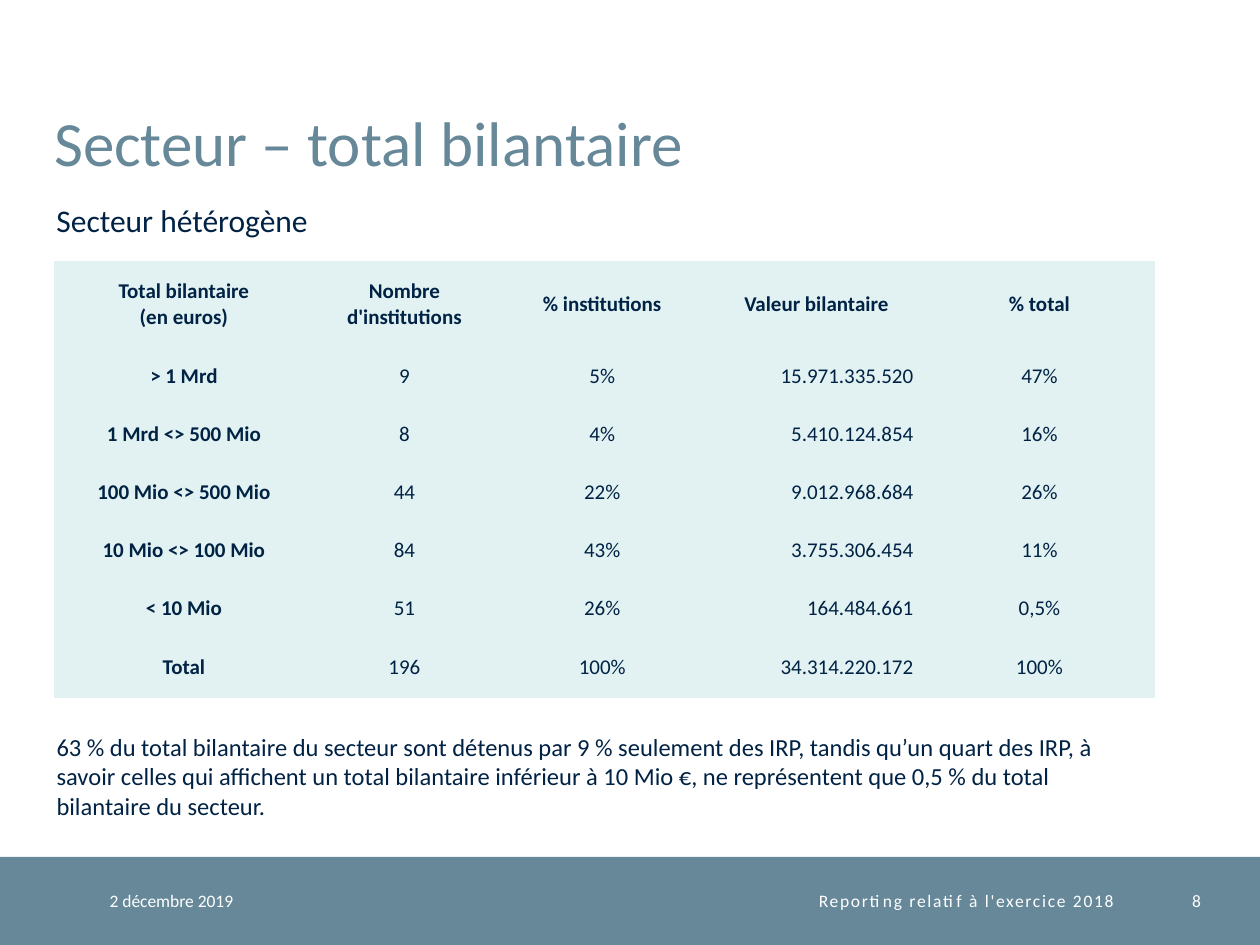
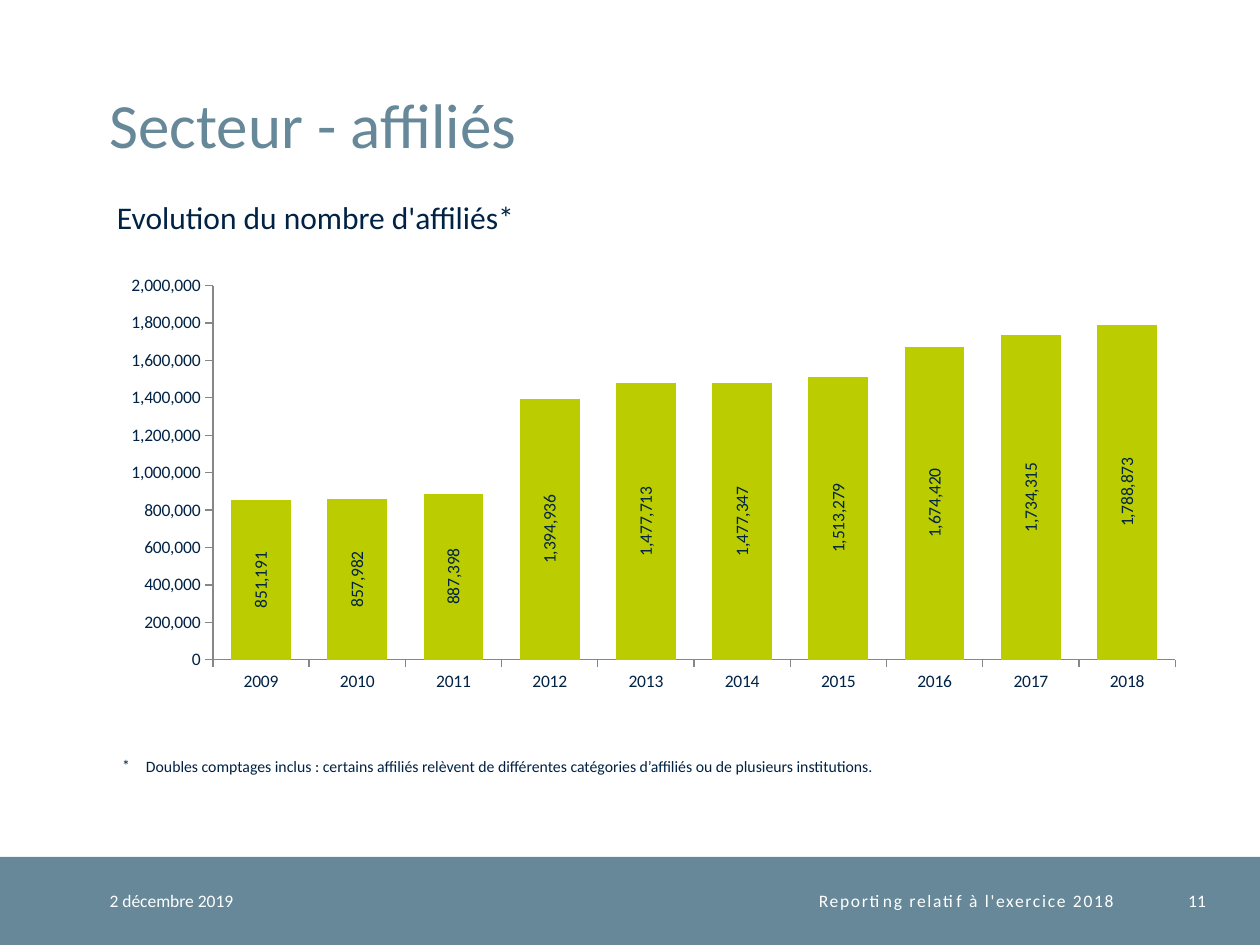
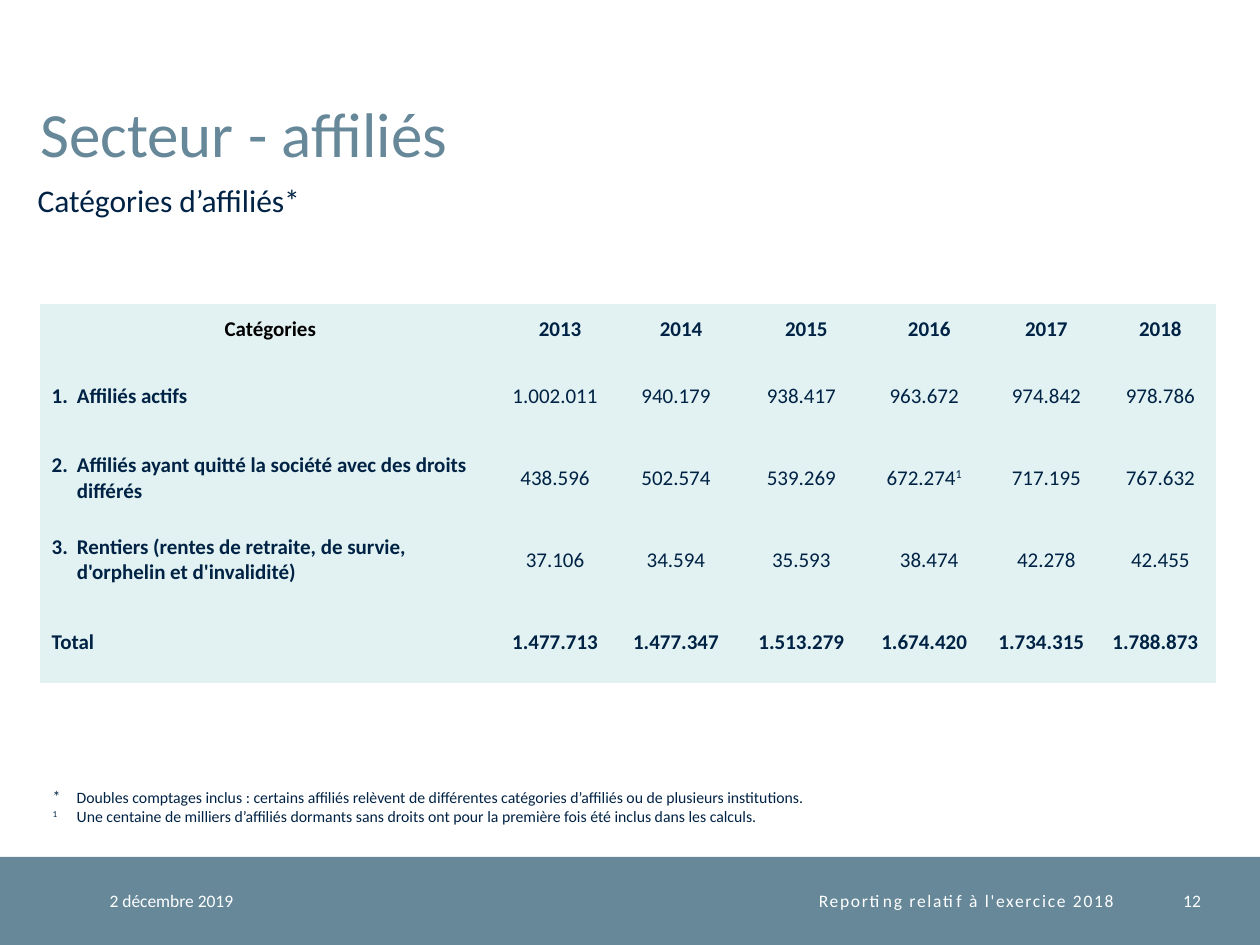
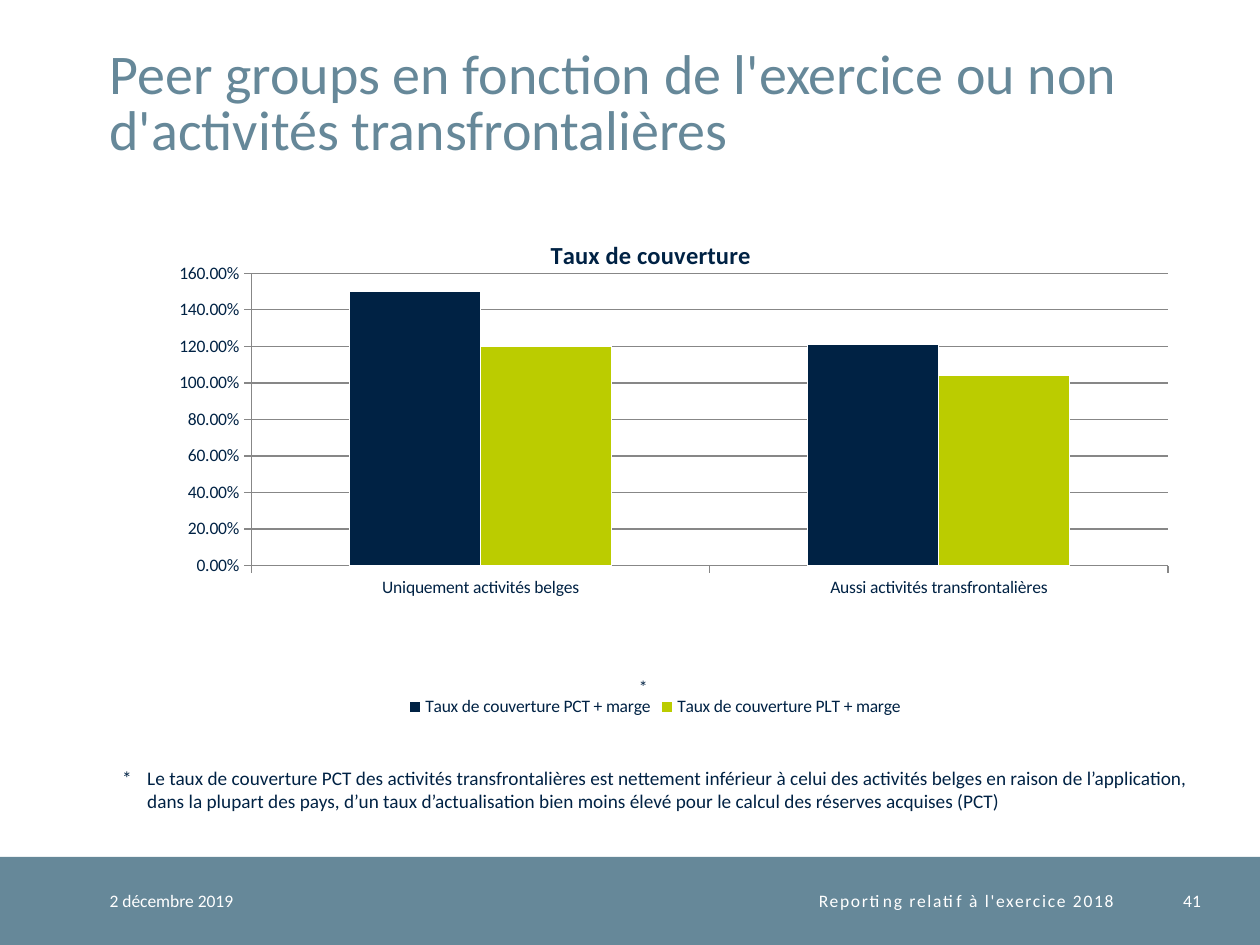
from lxml import etree
from pptx import Presentation, util as u
from pptx.chart import data
from pptx.dml import color
from pptx.enum import chart as charts, shapes, text
from pptx.oxml import ns

FONT = "Calibri"
SLATE, NAVY, LIME = "668899", "002244", "BBCC00"
PALE, WHITE, BLACK, GREY = "E2F2F2", "FFFFFF", "000000", "878787"
LEFT, CENTER, RIGHT = text.PP_ALIGN.LEFT, text.PP_ALIGN.CENTER, text.PP_ALIGN.RIGHT
MIDDLE, BOTTOM, TOP = text.MSO_ANCHOR.MIDDLE, text.MSO_ANCHOR.BOTTOM, text.MSO_ANCHOR.TOP
NO_STYLE = "{2D5ABB26-0587-4C30-8999-92F81FD0307C}"
DATE = "2 décembre 2019"
FOOTER = "Reporting relatif à l'exercice 2018"
DOUBLES = ("Doubles comptages inclus : certains affiliés relèvent de différentes "
           "catégories d’affiliés ou de plusieurs institutions.")


def rgb(value):
    return color.RGBColor.from_string(value)


def inches(values):
    return [u.Inches(value) for value in values]


def set_font(font, size, tint=NAVY, bold=False):
    font.name, font.size, font.bold = FONT, u.Pt(size), bold
    font.color.rgb = rgb(tint)


# Text: parts between bars are superscript
def write(para, content, size, tint=NAVY, bold=False, align=LEFT):
    para.alignment = align
    for index, part in enumerate(content.split("|")):
        if part:
            span = para.add_run()
            span.text = part
            set_font(span.font, size, tint, bold)
            if index % 2:
                span.font._element.set("baseline", "30000")


def hang(para, left, indent, bullet=None):
    props = para._p.get_or_add_pPr()
    props.set("marL", str(u.Inches(left)))
    props.set("indent", str(u.Inches(-indent)))
    if bullet:
        etree.SubElement(props, ns.qn("a:buFont")).set("typeface", FONT)
        etree.SubElement(props, ns.qn("a:buChar")).set("char", bullet)


def add_text(page, box, lines, size, tint=NAVY, align=LEFT, anchor=TOP, inset=True):
    shape = page.shapes.add_textbox(*inches(box))
    frame = shape.text_frame
    frame.word_wrap, frame.vertical_anchor = True, anchor
    if inset:
        frame.auto_size = text.MSO_AUTO_SIZE.SHAPE_TO_FIT_TEXT
    else:
        clear_margins(frame)
    for index, line in enumerate(lines):
        para = frame.add_paragraph() if index else frame.paragraphs[0]
        write(para, line, size, tint, align=align)
    return frame


def clear_margins(holder):
    holder.margin_left = holder.margin_top = holder.margin_right = holder.margin_bottom = 0


# Band, date, footer and page number
def add_footer(page, number, date_width=1.77, number_box=(9.04, 0.49)):
    top, height, footer_right = 6.8, 0.7, 8.84
    band = page.shapes.add_shape(shapes.MSO_SHAPE.RECTANGLE, *inches((0, top, 10, height)))
    band.shadow.inherit = False
    band.fill.solid()
    band.fill.fore_color.rgb = rgb(SLATE)
    band.line.fill.background()

    date_left = 0.87
    footer_left = 2.64 if date_width == 1.77 else 3.43
    number_left, number_width = number_box
    parts = [(date_left, date_width, DATE, LEFT),
             (footer_left, footer_right - footer_left, FOOTER, RIGHT),
             (number_left, number_width, str(number), RIGHT)]
    for left, width, content, align in parts:
        frame = add_text(page, (left, top, width, height), [content], 10, WHITE,
                         align, MIDDLE, inset=False)
        if content == FOOTER:
            frame.paragraphs[0].runs[0].font._element.set("spc", "100")


def add_title(page, left, top, content, size=36):
    frame = add_text(page, (left, top, 8.63, 1.08), [content], size, SLATE,
                     anchor=BOTTOM, inset=False)
    frame.paragraphs[0].line_spacing = u.Pt(32)


def add_page(deck, number, title, left, top, size=36, **footer):
    page = deck.slides.add_slide(deck.slide_layouts[6])
    add_footer(page, number, **footer)
    add_title(page, left, top, title, size)
    return page


# Tables: style_cell(row, column) gives bold, alignment, right margin
def add_table(page, left, top, widths, heights, rows, style_cell):
    box = inches((left, top, sum(widths), sum(heights)))
    table = page.shapes.add_table(len(rows), len(widths), *box).table
    table.first_row = table.horz_banding = False
    table._tbl.tblPr.find(ns.qn("a:tableStyleId")).text = NO_STYLE
    for column, width in zip(table.columns, widths):
        column.width = u.Inches(width)
    for row, height in zip(table.rows, heights):
        row.height = u.Inches(height)
    for r, values in enumerate(rows):
        for c, value in enumerate(values):
            cell = table.cell(r, c)
            bold, align, margin = style_cell(r, c)
            clear_margins(cell)
            cell.margin_right = u.Inches(margin)
            cell.vertical_anchor = MIDDLE
            cell.fill.solid()
            cell.fill.fore_color.rgb = rgb(PALE)
            for index, line in enumerate(value.split("\n")):
                frame = cell.text_frame
                para = frame.add_paragraph() if index else frame.paragraphs[0]
                write(para, line, 12, bold=bold, align=align)
    return table


# Charts
def add_chart(page, box, kind, categories, series, tints, gap, value_format):
    chart_data = data.CategoryChartData()
    chart_data.categories = categories
    for name, values in series:
        chart_data.add_series(name, values)
    chart = page.shapes.add_chart(kind, *inches(box), chart_data).chart
    set_font(chart.font, 10)
    chart.has_title = chart.has_legend = False
    plot = chart.plots[0]
    plot.gap_width, plot.vary_by_categories = gap, False
    for item, tint in zip(plot.series, tints):
        item.format.fill.solid()
        item.format.fill.fore_color.rgb = rgb(tint)
    for axis in (chart.category_axis, chart.value_axis):
        axis.major_tick_mark = charts.XL_TICK_MARK.OUTSIDE
        axis.has_major_gridlines = False
        axis.format.line.color.rgb = rgb(GREY)
    chart.value_axis.minimum_scale = 0
    chart.value_axis.tick_labels.number_format = value_format
    chart.value_axis.tick_labels.number_format_is_linked = False
    return chart


def set_layout(part, **settings):
    layout = part.find(ns.qn("c:layout"))
    if layout is None:
        layout = etree.Element(ns.qn("c:layout"))
        part.insert(0, layout)
    manual = etree.SubElement(layout, ns.qn("c:manualLayout"))
    for name, value in settings.items():
        etree.SubElement(manual, ns.qn("c:" + name)).set("val", str(value))


# Slide: balance sheet totals
def build_balance(deck):
    page = add_page(deck, 8, "Secteur – total bilantaire", 0.43, 0.34)
    add_text(page, (0.35, 1.55, 3.23, 0.4), ["Secteur hétérogène"], 18)
    rows = [
        ("Total bilantaire\n(en euros)", "Nombre d'institutions", "% institutions",
         "Valeur bilantaire", "% total"),
        ("> 1 Mrd", "9", "5%", "15.971.335.520", "47%"),
        ("1 Mrd <> 500 Mio", "8", "4%", "5.410.124.854", "16%"),
        ("100 Mio <> 500 Mio", "44", "22%", "9.012.968.684", "26%"),
        ("10 Mio <> 100 Mio", "84", "43%", "3.755.306.454", "11%"),
        ("< 10 Mio", "51", "26%", "164.484.661", "0,5%"),
        ("Total", "196", "100%", "34.314.220.172", "100%"),
    ]

    def style_cell(row, column):
        amount = row > 0 and column == 3
        return row == 0 or column == 0, RIGHT if amount else CENTER, 0.08 if amount else 0

    add_table(page, 0.43, 2.07, [2.06, 1.44, 1.7, 1.7, 1.84],
              [0.69] + [0.46] * 5 + [0.48], rows, style_cell)
    add_text(page, (0.35, 5.76, 8.82, 0.81), [
        "63 % du total bilantaire du secteur sont détenus par 9 % seulement des IRP, "
        "tandis qu’un quart des IRP, à savoir celles qui affichent un total bilantaire "
        "inférieur à 10 Mio €, ne représentent que 0,5 % du total bilantaire du secteur."], 14)


# Slide: members per year
def build_members(deck):
    page = add_page(deck, 11, "Secteur - affiliés", 0.87, 0.2,
                    date_width=1.38, number_box=(0.87, 8.7))
    add_text(page, (0.83, 1.52, 8.98, 0.4), ["Evolution du nombre d'affiliés*"], 18)
    members = [851191, 857982, 887398, 1394936, 1477713,
               1477347, 1513279, 1674420, 1734315, 1788873]
    chart = add_chart(page, (0.87, 2.12, 8.63, 3.44), charts.XL_CHART_TYPE.COLUMN_STACKED,
                      [str(year) for year in range(2009, 2019)],
                      [("Affiliés", members)], [LIME], 61, "#,##0")
    plot = chart.plots[0]
    plot.overlap = 100
    plot.has_data_labels = True
    labels = plot.data_labels
    labels.show_value = True
    labels.number_format, labels.number_format_is_linked = "#,##0", False
    set_font(labels.font, 10)
    body = labels._element.find(".//" + ns.qn("a:bodyPr"))
    body.set("rot", "-5400000")
    body.set("vert", "horz")
    note = add_text(page, (0.87, 5.96, 9.21, 0.25), [DOUBLES], 9)
    hang(note.paragraphs[0], 0.19, 0.19, "*")


# Slide: member categories
def build_categories(deck):
    page = add_page(deck, 12, "Secteur - affiliés", 0.32, 0.27)
    add_text(page, (0.2, 1.39, 3.7, 0.4), ["Catégories d’affiliés*"], 18)
    rows = [
        ("Catégories", "2013", "2014", "2015", "2016", "2017", "2018"),
        ("1.\tAffiliés actifs",
         "1.002.011", "940.179", "938.417", "963.672", "974.842", "978.786"),
        ("2.\tAffiliés ayant quitté la société avec des droits différés",
         "438.596", "502.574", "539.269", "672.274|1|", "717.195", "767.632"),
        ("3.\tRentiers (rentes de retraite, de survie, d'orphelin et d'invalidité)",
         "37.106", "34.594", "35.593", "38.474", "42.278", "42.455"),
        ("Total",
         "1.477.713", "1.477.347", "1.513.279", "1.674.420", "1.734.315", "1.788.873"),
    ]
    total = len(rows) - 1

    def style_cell(row, column):
        label = row > 0 and column == 0
        shifted = row == total or (row > 0 and column < 5 and (row, column) != (3, 4))
        return (row in (0, total) or label, LEFT if label else CENTER,
                0.08 if shifted else 0)

    table = add_table(page, 0.32, 2.41, [3.65, 0.95, 0.97, 1.02, 0.93, 0.93, 0.88],
                      [0.41] + [0.65] * 4, rows, style_cell)
    for row in range(1, len(rows)):
        hang(table.cell(row, 0).text_frame.paragraphs[0], 0.29, 0.2)
    heading = table.cell(0, 0).text_frame.paragraphs[0].runs[0]
    heading.font.color.rgb = rgb(BLACK)

    notes = add_text(page, (0.32, 6.2, 9.21, 0.4), [
        DOUBLES,
        "|1|\tUne centaine de milliers d’affiliés dormants sans droits ont pour la "
        "première fois été inclus dans les calculs."], 9)
    for para, bullet in zip(notes.paragraphs, ("*", None)):
        hang(para, 0.19, 0.19, bullet)


# Slide: coverage by peer group
def build_coverage(deck):
    page = add_page(deck, 41, "Peer groups en fonction de l'exercice ou non "
                    "d'activités transfrontalières", 0.87, 0.2, 32)
    note = add_text(page, (0.87, 6.03, 8.78, 0.47), [
        "*\tLe taux de couverture PCT des activités transfrontalières est nettement "
        "inférieur à celui des activités belges en raison de l’application, dans la "
        "plupart des pays, d’un taux d’actualisation bien moins élevé pour le calcul "
        "des réserves acquises (PCT)"], 11)
    hang(note.paragraphs[0], 0.2, 0.2)

    chart = add_chart(page, (0.87, 1.73, 8.66, 4), charts.XL_CHART_TYPE.COLUMN_CLUSTERED,
                      ["Uniquement activités belges", "Aussi activités transfrontalières"],
                      [("Taux de couverture PCT + marge", [1.5, 1.21]),
                       ("Taux de couverture PLT + marge", [1.2, 1.04])],
                      [NAVY, LIME], 150, "0.00%")
    chart.plots[0].overlap = 0
    for item in chart.plots[0].series:
        item.format.line.color.rgb = rgb(WHITE)
    chart.value_axis.maximum_scale, chart.value_axis.major_unit = 1.6, 0.2
    chart.value_axis.has_major_gridlines = True
    chart.value_axis.major_gridlines.format.line.color.rgb = rgb(GREY)
    chart.has_legend = True
    chart.legend.position = charts.XL_LEGEND_POSITION.BOTTOM
    chart.legend.include_in_layout = False
    set_font(chart.legend.font, 10)

    # The title stands clear of the top gridline
    chart.has_title = True
    write(chart.chart_title.text_frame.paragraphs[0], "Taux de couverture", 14,
          bold=True, align=CENTER)
    set_layout(chart.chart_title._element, xMode="edge", yMode="edge", x=0.4, y=0.03)
    set_layout(chart._chartSpace.chart.plotArea, layoutTarget="inner", xMode="edge",
               yMode="edge", x=0.13, y=0.11, w=0.84, h=0.58)

    # Asterisk above the legend
    mark = add_text(page, (5.07, 5.32, 0.08, 0.27), ["*"], 10)
    mark.word_wrap = False
    mark.margin_left = mark.margin_right = 0


def main():
    deck = Presentation()
    deck.slide_width, deck.slide_height = inches((10, 7.5))
    for build in (build_balance, build_members, build_categories, build_coverage):
        build(deck)
    deck.save("out.pptx")


if __name__ == "__main__":
    main()
